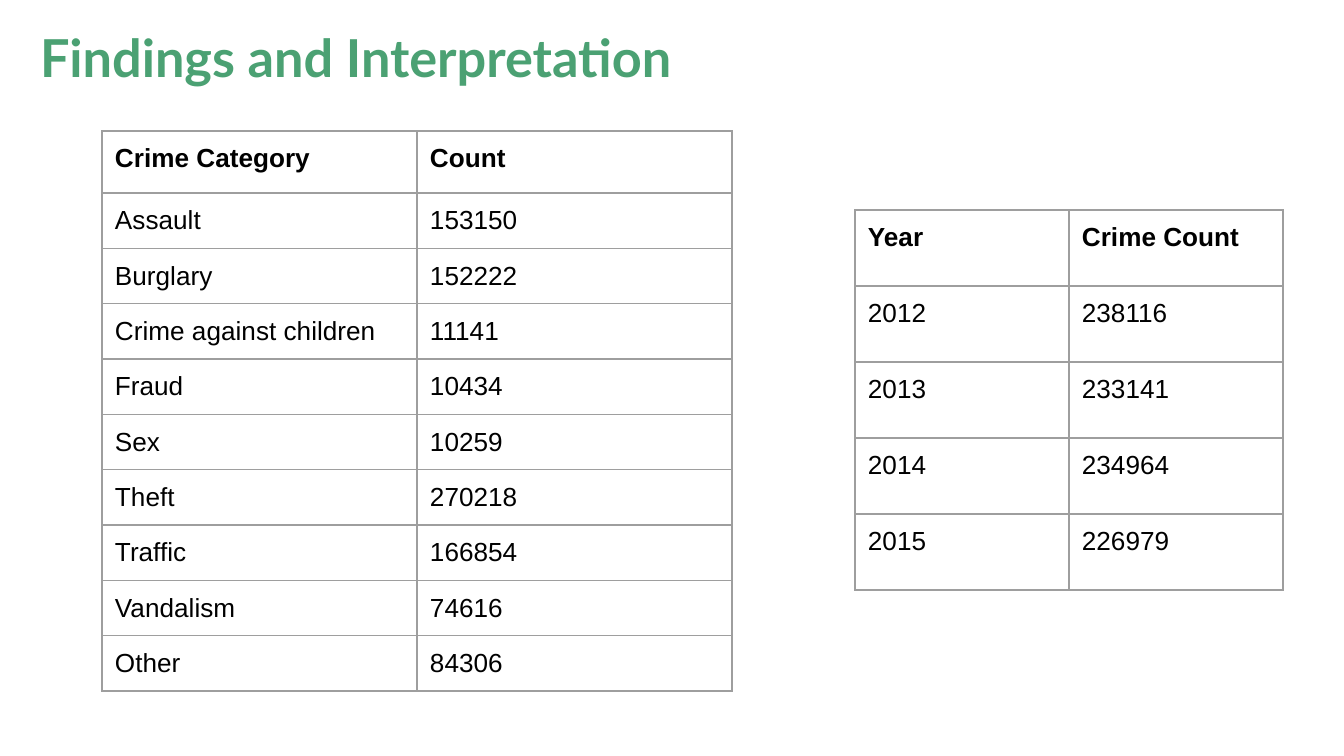
"""Build the findings slide with crime counts by category and by year."""
from dataclasses import dataclass

from pptx import Presentation
from pptx import util as u
from pptx.dml import color
from pptx.enum import text
from pptx.oxml import ns
from lxml import etree

PX = 914400 / 134.4


@dataclass(frozen=True)
class Theme:
    heading: color.RGBColor = color.RGBColor(0x4B, 0xA1, 0x73)
    ink: color.RGBColor = color.RGBColor(0, 0, 0)
    rule: str = "9E9E9E"
    title_font: str = "Lato"
    body_font: str = "Arial"
    title_size: int = 28
    body_size: int = 14
    rule_width: float = 0.75
    inset: int = 13


@dataclass(frozen=True)
class CountTable:
    left: int
    top: int
    column_width: int
    header_height: int
    row_height: int
    rows: tuple[tuple[str, str], ...]


THEME = Theme()

CATEGORIES = CountTable(102, 131, 315, 62, 54, (
    ("Crime Category", "Count"),
    ("Assault", "153150"),
    ("Burglary", "152222"),
    ("Crime against children", "11141"),
    ("Fraud", "10434"),
    ("Sex", "10259"),
    ("Theft", "270218"),
    ("Traffic", "166854"),
    ("Vandalism", "74616"),
    ("Other", "84306"),
))
YEARS = CountTable(855, 210, 214, 76, 76, (
    ("Year", "Crime Count"),
    ("2012", "238116"),
    ("2013", "233141"),
    ("2014", "234964"),
    ("2015", "226979"),
))


def px(length: int) -> u.Emu:
    return u.Emu(round(length * PX))


def set_insets(frame) -> None:
    for side in ("left", "top", "right", "bottom"):
        setattr(frame, f"margin_{side}", px(THEME.inset))


def set_font(font, name: str, size: int, ink: color.RGBColor, bold: bool) -> None:
    font.name, font.size, font.bold = name, u.Pt(size), bold
    font.color.rgb = ink


def add_borders(cell) -> None:
    properties = cell._tc.get_or_add_tcPr()
    for position, side in enumerate(("lnL", "lnR", "lnT", "lnB")):
        line = etree.Element(ns.qn(f"a:{side}"), w=str(u.Pt(THEME.rule_width)))
        fill = etree.SubElement(line, ns.qn("a:solidFill"))
        etree.SubElement(fill, ns.qn("a:srgbClr"), val=THEME.rule)
        properties.insert(position, line)


def add_title(slide, wording: str) -> None:
    title = slide.shapes.title
    title.left, title.top, title.width, title.height = map(px, (27, 12, 1253, 63))
    frame = title.text_frame
    frame.text = wording
    frame.word_wrap = True
    frame.auto_size = text.MSO_AUTO_SIZE.NONE
    frame.vertical_anchor = text.MSO_ANCHOR.TOP
    set_insets(frame)
    heading = frame.paragraphs[0]
    heading.alignment = text.PP_ALIGN.LEFT
    set_font(heading.font, THEME.title_font, THEME.title_size, THEME.heading, True)


def add_counts(slide, counts: CountTable) -> None:
    heights = [counts.header_height] + [counts.row_height] * (len(counts.rows) - 1)
    columns = len(counts.rows[0])
    table = slide.shapes.add_table(
        len(heights), columns, px(counts.left), px(counts.top),
        px(counts.column_width * columns), px(sum(heights))).table
    table.horz_banding = False
    for column in table.columns:
        column.width = px(counts.column_width)
    for r, (height, values) in enumerate(zip(heights, counts.rows)):
        table.rows[r].height = px(height)
        for c, value in enumerate(values):
            cell = table.cell(r, c)
            cell.text = value
            cell.vertical_anchor = text.MSO_ANCHOR.TOP
            set_insets(cell)
            cell.fill.background()
            add_borders(cell)
            set_font(cell.text_frame.paragraphs[0].font, THEME.body_font,
                     THEME.body_size, THEME.ink, r == 0)


def main() -> None:
    deck = Presentation()
    deck.slide_width, deck.slide_height = px(1344), px(756)
    slide = deck.slides.add_slide(deck.slide_layouts[5])
    add_title(slide, "Findings and Interpretation")
    for counts in (CATEGORIES, YEARS):
        add_counts(slide, counts)
    deck.save("out.pptx")


if __name__ == "__main__":
    main()
